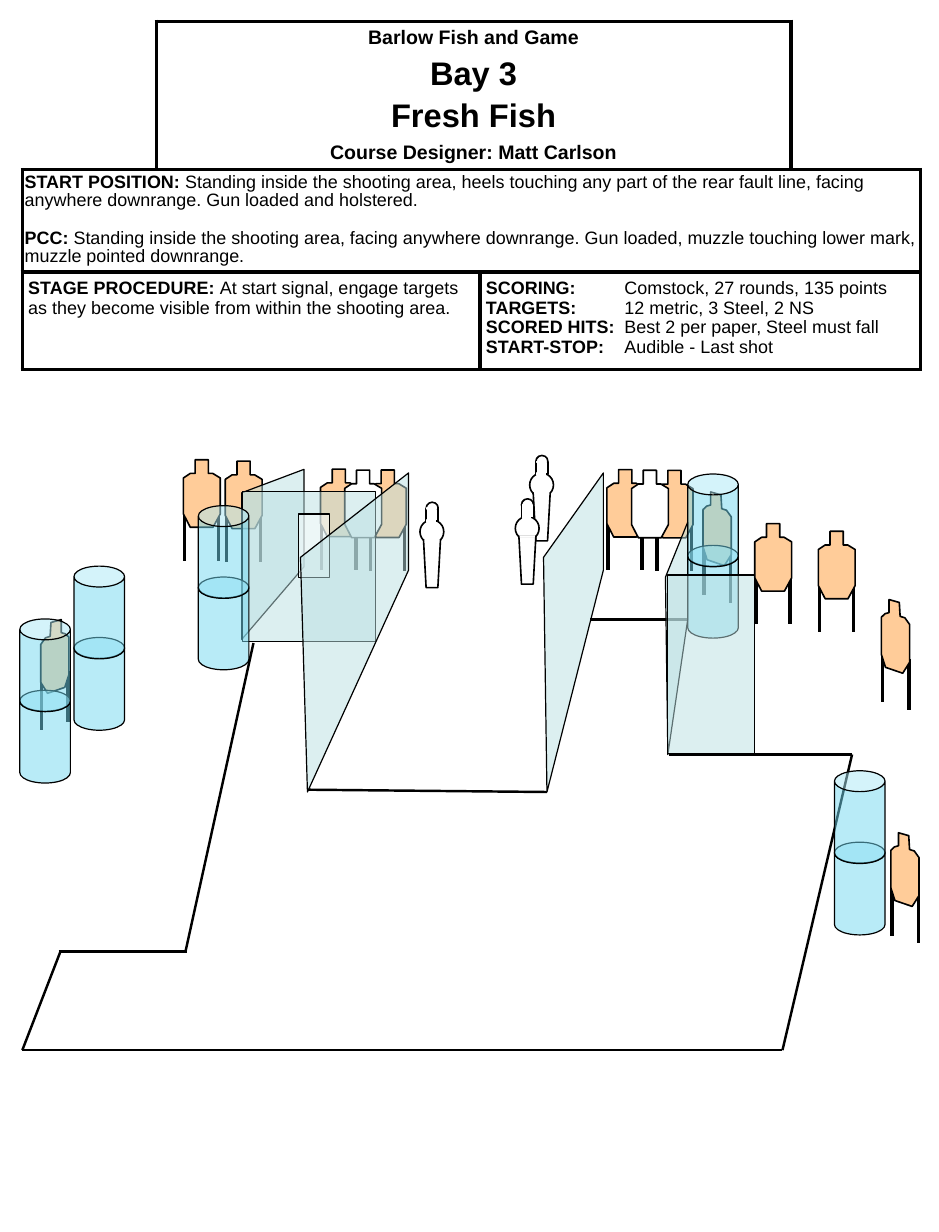
from dataclasses import dataclass
from typing import Optional

from lxml.etree import SubElement
from pptx import Presentation
from pptx.dml.color import RGBColor
from pptx.enum.shapes import MSO_CONNECTOR, MSO_SHAPE
from pptx.enum.text import MSO_ANCHOR, PP_ALIGN
from pptx.oxml.ns import qn
from pptx.util import Pt

COLORS = {"black": "000000", "white": "FFFFFF", "tan": "FFCC99",
          "wall": "BBE0E3", "barrel": "73D9F1"}

UPRIGHT = [(7.2, 0), (15.3, 0), (15.3, 8.4), (18, 8.4), (22.6, 11.2), (22.6, 33.3),
           (18.2, 41.4), (4.2, 41.4), (0, 33.3), (0, 11.2), (4.2, 8.4), (7.2, 8.4)]
UPRIGHT_LEGS = [(0.7, 30.5), (21.6, 30.5)]
TURNED_WIDTH = 17.3
TURNED = [(11, 1.8), (4.7, 0), (4.7, 8), (2.2, 8.7), (0, 10.8), (0, 33.8),
          (2.5, 41.6), (13.1, 45.2), (17.3, 38.5), (17.3, 15.3), (14.4, 11.2), (11.5, 10.3)]
TURNED_LEGS = [(0.7, 31.7), (16.9, 36.5)]
LEG_LENGTH = 31.4
BARREL_STEP = 43.8


@dataclass
class Fault:
    x1: float
    y1: float
    x2: float
    y2: float


@dataclass
class Target:
    x: float
    y: float
    turned: bool = False
    mirrored: bool = False
    no_shoot: bool = False


@dataclass
class Wall:
    points: list


@dataclass
class Panel:
    x: float
    y: float
    w: float
    h: float
    color: str = "wall"


@dataclass
class Barrel:
    x: float
    y: float


@dataclass
class Steel:
    x: float
    y: float


SCENE = [
    Fault(480, 644.4, 522.7, 463),
    Target(540.7, 367.9, turned=True),
    Fault(113.8, 583.9, 155.5, 394.6),
    Target(138.2, 283), Target(112.5, 282.1),
    Target(196.6, 287.9), Target(226.6, 288.4), Target(211.5, 288.5, no_shoot=True),
    Wall([(186.5, 347.8), (148.3, 392.4), (148.3, 302.4), (186.5, 288)]),
    Panel(149, 301.7, 81.4, 92.2),
    Panel(182.9, 315.4, 19.4, 38.9, "white"),
    Target(372.3, 288.2), Target(402.5, 288.7), Target(387.4, 288.6, no_shoot=True),
    Target(431.3, 301.9, turned=True),
    Fault(188.6, 484.6, 335.5, 486),
    Wall([(250.6, 349.9), (188.6, 486), (184.3, 342), (250.6, 290.2)]),
    Wall([(370.1, 349.9), (335.5, 486), (333.4, 342), (370.1, 290.2)]),
    Fault(362.2, 380.2, 421.9, 380.2),
    Wall([(421.9, 380.2), (409.7, 463), (408.2, 354.2), (421.9, 320.4)]),
    Barrel(421.9, 290.9),
    Fault(410.4, 463, 522.7, 463),
    Target(463, 321.3),
    Panel(409.7, 352.8, 53.3, 109.4),
    Target(502, 326),
    Fault(36, 583.9, 114.5, 583.9),
    Fault(13.7, 644.4, 37.1, 583.9),
    Target(25, 380.2, turned=True, mirrored=True),
    Barrel(121.7, 310.3), Barrel(12.2, 379.8), Barrel(511.9, 473),
    Target(546.5, 511, turned=True),
    Fault(13.7, 644.4, 480, 644.4),
    Barrel(45.4, 347.4),
    Steel(261.4, 308.2), Steel(328.7, 279.5), Steel(319.9, 306.1),
]


def rgb(name: str) -> RGBColor:
    return RGBColor.from_string(COLORS[name])


def paint(sp, fill: str, line: Optional[str] = "black", width: float = 1,
          alpha: Optional[int] = None) -> None:
    sp.shadow.inherit = False
    sp.fill.solid()
    sp.fill.fore_color.rgb = rgb(fill)
    if alpha:
        clr = sp._element.spPr.find(qn("a:solidFill")).find(qn("a:srgbClr"))
        SubElement(clr, qn("a:alpha"), val=str(alpha * 1000))
    if line:
        sp.line.color.rgb = rgb(line)
        sp.line.width = Pt(width)
    else:
        sp.line.fill.background()


def add_line(shapes, x1: float, y1: float, x2: float, y2: float, width: float) -> None:
    cx = shapes.add_connector(MSO_CONNECTOR.STRAIGHT, Pt(x1), Pt(y1), Pt(x2), Pt(y2))
    cx.line.color.rgb = rgb("black")
    cx.line.width = Pt(width)
    SubElement(cx._element.spPr, qn("a:effectLst"))


def add_preset(shapes, kind, x: float, y: float, w: float, h: float):
    return shapes.add_shape(kind, Pt(x), Pt(y), Pt(w), Pt(h))


def add_polygon(shapes, points: list):
    pts = [(Pt(x), Pt(y)) for x, y in points]
    builder = shapes.build_freeform(*pts[0], scale=1.0)
    builder.add_line_segments(pts[1:], close=True)
    return builder.convert_to_shape()


def draw_fault(shapes, f: Fault) -> None:
    add_line(shapes, f.x1, f.y1, f.x2, f.y2, 1.5)


def draw_target(shapes, t: Target) -> None:
    outline, legs = (TURNED, TURNED_LEGS) if t.turned else (UPRIGHT, UPRIGHT_LEGS)

    def place(points: list) -> list:
        return [(t.x + (TURNED_WIDTH - x if t.mirrored else x), t.y + y) for x, y in points]

    if not t.no_shoot:
        for x, y in place(legs):
            add_line(shapes, x, y, x, y + LEG_LENGTH, 2.25)
    paint(add_polygon(shapes, place(outline)), "white" if t.no_shoot else "tan")


def draw_wall(shapes, w: Wall) -> None:
    paint(add_polygon(shapes, w.points), "wall", width=0.75, alpha=50)


def draw_panel(shapes, p: Panel) -> None:
    sp = add_preset(shapes, MSO_SHAPE.RECTANGLE, p.x, p.y, p.w, p.h)
    paint(sp, p.color, width=0.75, alpha=50)


def draw_barrel(shapes, b: Barrel) -> None:
    """Two stacked cans, the lower one behind."""
    for dy in (BARREL_STEP, 0):
        sp = add_preset(shapes, MSO_SHAPE.CAN, b.x, b.y + dy, 31, 56.9)
        sp.adjustments[0] = 0.413
        paint(sp, "barrel", width=0.75, alpha=50)


def draw_steel(shapes, s: Steel) -> None:
    """Popper: round head and body on a taper, with white masks over the joins."""
    for dx, dy, size in ((0, 0, 7.4), (-3.8, 10.8, 14.6)):
        paint(add_preset(shapes, MSO_SHAPE.OVAL, s.x + dx, s.y + dy, size, size), "white")
    taper = [(-1.6, 23.1), (8.8, 23.1), (7.2, 52.4), (0, 52.4)]
    paint(add_polygon(shapes, [(s.x + x, s.y + y) for x, y in taper]), "white")
    for dx, dy, w, h, line in ((0, 4.1, 7.4, 7.4, "black"), (-1.1, 22.4, 9.4, 1.4, None),
                               (0.7, 10.8, 5, 1.4, "white"), (0.7, 3.6, 5.8, 0.7, "white")):
        paint(add_preset(shapes, MSO_SHAPE.RECTANGLE, s.x + dx, s.y + dy, w, h), "white", line)


def add_text(p, bold: str, plain: str = "", size: float = 11) -> None:
    for text, is_bold in ((bold, True), (plain, False)):
        if text:
            r = p.add_run()
            r.text = text
            r.font.name, r.font.size, r.font.bold = "Arial", Pt(size), is_bold
            r.font.color.rgb = rgb("black")


def style_cell(cell, sides: str, inset_x: float, inset_y: float) -> None:
    cell.margin_left = cell.margin_right = Pt(inset_x)
    cell.margin_top = cell.margin_bottom = Pt(inset_y)
    tc_pr = cell._tc.get_or_add_tcPr()
    for side in "LRTB":
        ln = SubElement(tc_pr, qn(f"a:ln{side}"), w=str(Pt(2.25)))
        if side in sides:
            SubElement(SubElement(ln, qn("a:solidFill")), qn("a:srgbClr"), val=COLORS["black"])
        else:
            SubElement(ln, qn("a:noFill"))
    cell.fill.solid()
    cell.fill.fore_color.rgb = rgb("white")


def paragraphs(cell, count: int) -> list:
    tf = cell.text_frame
    return [tf.paragraphs[0]] + [tf.add_paragraph() for _ in range(count - 1)]


def draw_table(shapes) -> None:
    cols, rows = (82.1, 198.7, 190.8, 79.2), (90.7, 63, 60)
    table = shapes.add_table(3, 4, Pt(13.7), Pt(13), Pt(sum(cols)), Pt(sum(rows))).table
    table.first_row = table.horz_banding = False
    for col, w in zip(table.columns, cols):
        col.width = Pt(w)
    for row, h in zip(table.rows, rows):
        row.height = Pt(h)
    for i in range(3):
        for j in range(4):
            sides = {(0, 0): "RB", (0, 3): "LB"}.get((i, j), "LTRB")
            style_cell(table.cell(i, j), sides, *((1.4, 2.9) if i == 1 else (3.6, 3.6)))
    for i, first, last in ((0, 1, 2), (1, 0, 3), (2, 0, 1), (2, 2, 3)):
        table.cell(i, first).merge(table.cell(i, last))

    title = table.cell(0, 1)
    title.vertical_anchor = MSO_ANCHOR.MIDDLE
    lines = (("Barlow Fish and Game", 12, 0), ("Bay 3", 20, 4), ("Fresh Fish", 20, 4),
             ("Course Designer: Matt Carlson", 12, 4.2))
    for p, (text, size, before) in zip(paragraphs(title, len(lines)), lines):
        p.alignment = PP_ALIGN.CENTER
        p.space_before = Pt(before)
        add_text(p, text, size=size)

    starts = (("START POSITION:", " Standing inside the shooting area, heels touching any part of "
               "the rear fault line, facing anywhere downrange. Gun loaded and holstered.", 0),
              ("PCC: ", "Standing inside the shooting area, facing anywhere downrange. Gun loaded, "
               "muzzle touching lower mark, muzzle pointed downrange.", 12.5))
    for p, (label, text, before) in zip(paragraphs(table.cell(1, 0), len(starts)), starts):
        p.line_spacing = 0.9
        p.space_before = Pt(before)
        add_text(p, label, text)

    add_text(table.cell(2, 0).text_frame.paragraphs[0], "STAGE PROCEDURE: ",
             "At start signal, engage targets as they become visible from within the shooting area.")

    facts = (("SCORING:", "Comstock, 27 rounds, 135 points"),
             ("TARGETS:", "12 metric, 3 Steel, 2 NS"),
             ("SCORED HITS:", "Best 2 per paper, Steel must fall"),
             ("START-STOP:", "Audible - Last shot"))
    for p, (label, text) in zip(paragraphs(table.cell(2, 2), len(facts)), facts):
        tabs = SubElement(p._p.get_or_add_pPr(), qn("a:tabLst"))
        SubElement(tabs, qn("a:tab"), pos=str(Pt(85)), algn="l")
        add_text(p, label, "\t" + text)


DRAW = {Fault: draw_fault, Target: draw_target, Wall: draw_wall, Panel: draw_panel,
        Barrel: draw_barrel, Steel: draw_steel}


def main() -> None:
    prs = Presentation()
    prs.slide_width, prs.slide_height = Pt(576), Pt(756)
    shapes = prs.slides.add_slide(prs.slide_layouts[6]).shapes
    draw_table(shapes)
    for item in SCENE:
        DRAW[type(item)](shapes, item)
    prs.save("out.pptx")


if __name__ == "__main__":
    main()
